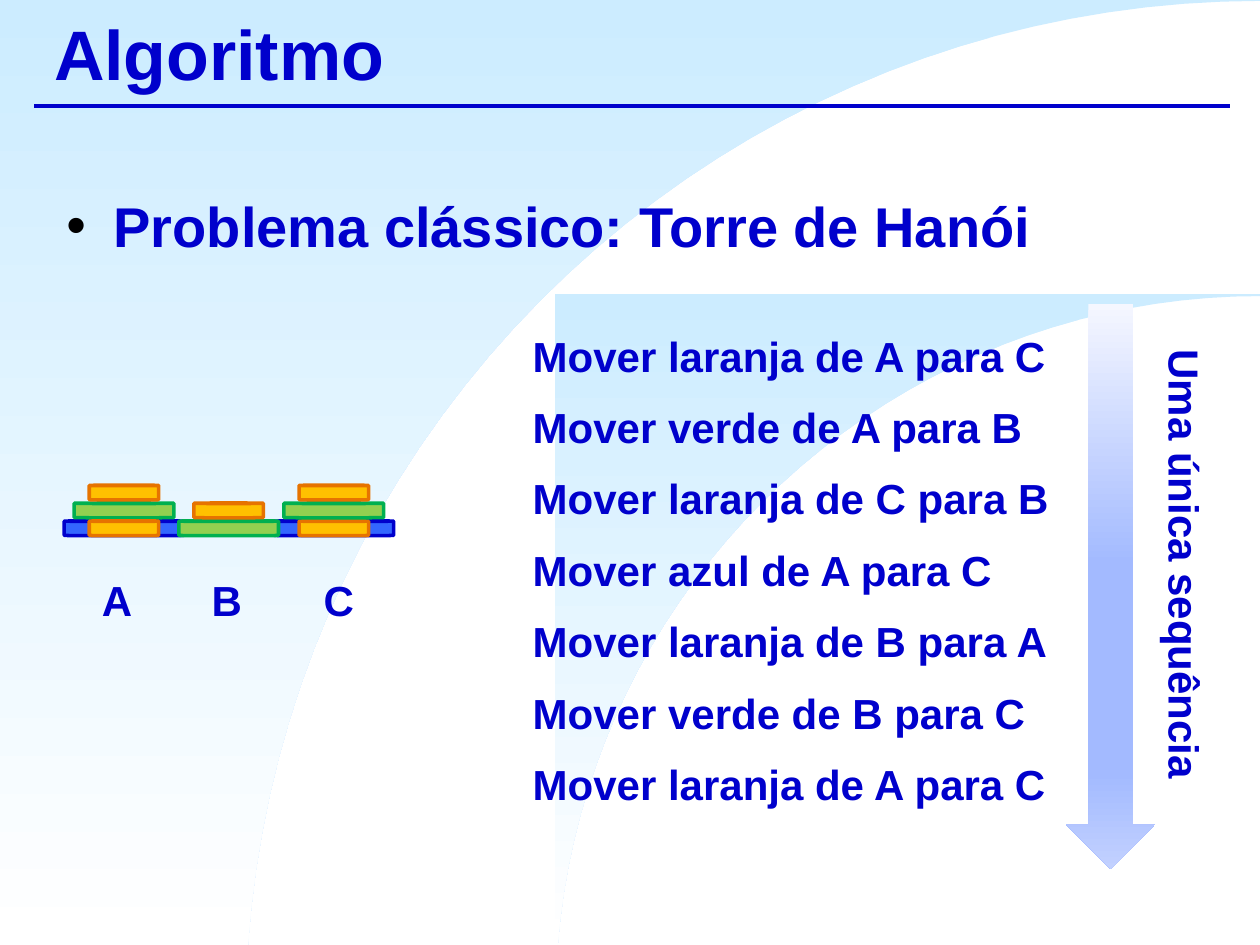
from math import asin, cos, pi, sin

from lxml.etree import SubElement
from pptx import Presentation
from pptx.dml.color import RGBColor
from pptx.enum.shapes import MSO_CONNECTOR as LINE, MSO_SHAPE as SHAPE
from pptx.enum.text import MSO_ANCHOR as ANCHOR, PP_ALIGN as ALIGN
from pptx.oxml.ns import qn
from pptx.util import Cm, Pt

NAVY = RGBColor(0x00, 0x00, 0xCC)
BLUE = RGBColor(0x33, 0x66, 0xFF)
LIME = RGBColor(0x92, 0xD0, 0x50)
GREEN = RGBColor(0x00, 0xB0, 0x50)
GOLD = RGBColor(0xFF, 0xC0, 0x00)
RUST = RGBColor(0xE6, 0x73, 0x00)
SKY = RGBColor(0xCC, 0xEC, 0xFF)
WHITE = RGBColor(0xFF, 0xFF, 0xFF)
PALE = RGBColor(0xF5, 0xF7, 0xFF)
MID = RGBColor(0xA3, 0xBA, 0xFF)
SOFT = RGBColor(0xC2, 0xD1, 0xFF)

WIDE, HIGH = 25.4, 19.05


def shade(shape, stops):
    """Fill from top to bottom with (percent, colour) stops, no outline."""
    shape.shadow.inherit = False
    shape.line.fill.background()
    shape.fill.gradient()
    shape.fill.gradient_angle = 270
    marks = shape._element.spPr.find(qn("a:gradFill")).find(qn("a:gsLst"))
    for old in list(marks):
        marks.remove(old)
    for pos, tone in stops:
        mark = SubElement(marks, qn("a:gs"), pos=str(pos * 1000))
        SubElement(mark, qn("a:srgbClr"), val=str(tone))


def write(left, top, width, height, lines, size, align=ALIGN.LEFT):
    """Add a text box with one bold paragraph per line."""
    box = slide.shapes.add_textbox(Cm(left), Cm(top), Cm(width), Cm(height))
    frame = box.text_frame
    frame.word_wrap = True
    frame.text = "\n".join(lines)
    for i, para in enumerate(frame.paragraphs):
        para.alignment = align
        if i:
            para.space_before = Pt(size / 2)
        for run in para.runs:
            font = run.font
            font.name, font.size, font.bold = "Arial", Pt(size), True
            font.color.rgb = NAVY
    return box


deck = Presentation()
deck.slide_width, deck.slide_height = Cm(WIDE), Cm(HIGH)
slide = deck.slides.add_slide(deck.slide_layouts[6])

# Background: two corners, each cut by a circle centred on the right edge
for left, top, mid, radius in [(0, 0, 20.47, 20.45), (11.18, 5.92, 20.17, 14.2)]:
    start = asin((mid - HIGH) / radius)
    turns = [start + (pi / 2 - start) * i / 40 for i in range(41)]
    arc = [(Cm(WIDE - radius * cos(t)), Cm(mid - radius * sin(t))) for t in turns]
    form = slide.shapes.build_freeform(Cm(left), Cm(HIGH))
    form.add_line_segments(arc + [(Cm(WIDE), Cm(top)), (Cm(left), Cm(top))])
    shade(form.convert_to_shape(), [(0, SKY), (100, WHITE)])

# Title and rule
rule = slide.shapes.add_connector(LINE.STRAIGHT, Cm(0.69), Cm(2.13), Cm(24.79), Cm(2.13))
rule.line.color.rgb = NAVY
rule.line.width = Pt(2.25)
SubElement(rule._element.spPr, qn("a:effectLst"))
title = write(0.84, 0, 23.93, 2.11, ["Algoritmo"], 40)
title.text_frame.vertical_anchor = ANCHOR.MIDDLE

# Problem
topic = write(1.09, 3.73, 23.39, 1.8, ["Problema clássico: Torre de Hanói"], 32, ALIGN.JUSTIFY)
props = topic.text_frame.paragraphs[0]._p.get_or_add_pPr()
props.set("marL", str(Cm(0.95)))
props.set("indent", str(Cm(-0.95)))
tint = SubElement(props, qn("a:buClr"))
SubElement(tint, qn("a:srgbClr"), val="000000")
SubElement(props, qn("a:buFont"), typeface="Arial")
SubElement(props, qn("a:buChar"), char="•")

# Steps
moves = ["laranja de A para C", "verde de A para B", "laranja de C para B",
         "azul de A para C", "laranja de B para A", "verde de B para C",
         "laranja de A para C"]
write(10.49, 6.53, 14, 11.4, [f"Mover {move}" for move in moves], 24, ALIGN.JUSTIFY)

# Peg names, centred on tab stops
names = write(1.5, 11.46, 6.2, 1.27, ["\tA\tB\tC"], 24)
props = names.text_frame.paragraphs[0]._p.get_or_add_pPr()
tabs = SubElement(props, qn("a:tabLst"))
for stop in (0.61, 2.82, 5.08):
    SubElement(tabs, qn("a:tab"), pos=str(Cm(stop)), algn="ctr")

# Disks: width, fill and outline by kind; then peg and level from the base
kinds = {
    "big": (2.41, BLUE, NAVY),
    "mid": (2.01, LIME, GREEN),
    "small": (1.4, GOLD, RUST),
}
pegs = {"A": 2.5, "B": 4.61, "C": 6.73}
disks = [("big", "A", 0), ("mid", "A", 1), ("small", "A", 2),
         ("big", "C", 0), ("small", "C", 0),
         ("mid", "B", 0), ("small", "B", 1), ("small", "A", 0),
         ("mid", "C", 1), ("small", "C", 2)]
for kind, peg, level in disks:
    width, fill, edge = kinds[kind]
    disk = slide.shapes.add_shape(SHAPE.CAN, Cm(pegs[peg] - width / 2),
                                  Cm(10.5 - 0.36 * level), Cm(width), Cm(0.3))
    disk.adjustments[0] = 0.04
    disk.shadow.inherit = False
    disk.fill.solid()
    disk.fill.fore_color.rgb = fill
    disk.line.color.rgb = edge
    disk.line.width = Pt(2)

# Sequence
label = write(19.08, 10.74, 9.63, 1.27, ["Uma única sequência"], 24, ALIGN.CENTER)
label.rotation = 90
arrow = slide.shapes.add_shape(SHAPE.DOWN_ARROW, Cm(21.49), Cm(6.12), Cm(1.8), Cm(11.4))
shade(arrow, [(0, PALE), (46, MID), (83, MID), (100, SOFT)])

deck.save("out.pptx")
